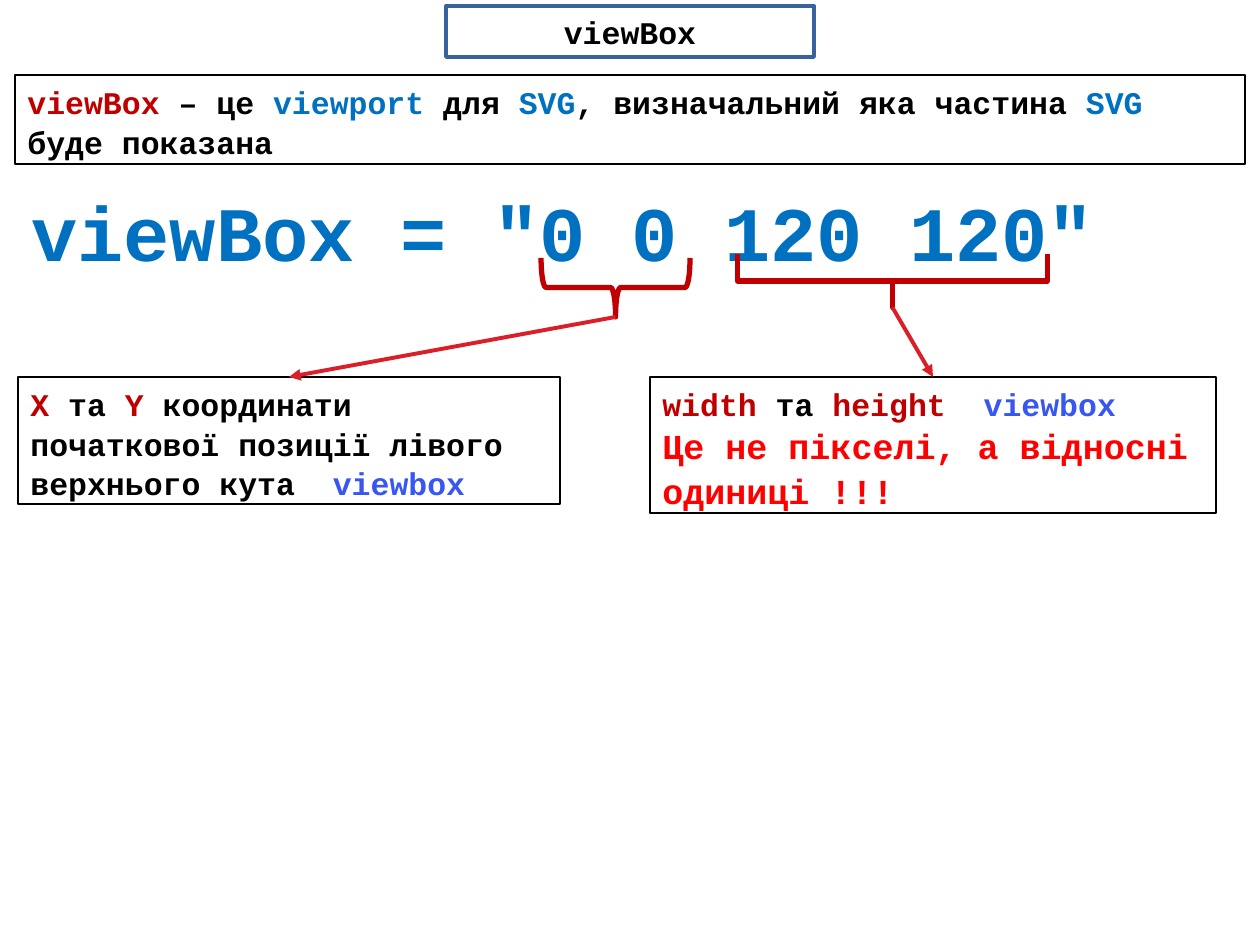
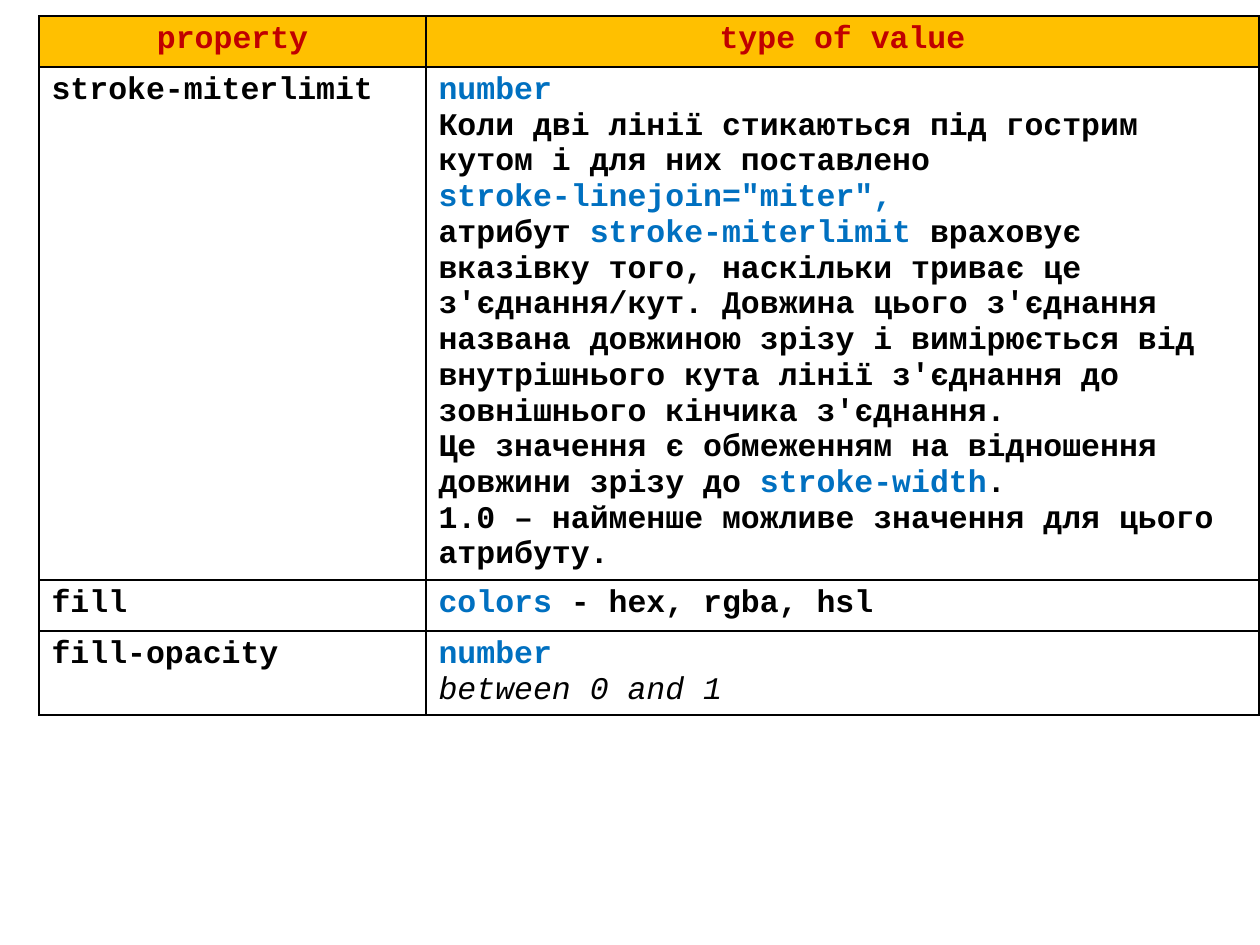
from lxml import etree
from pptx import Presentation
from pptx import util as u
from pptx.dml.color import RGBColor
from pptx.enum import shapes, text
from pptx.oxml.ns import qn

SCALE = 914400 / 126
FONT = "Courier New"
BLACK, WHITE, RED, BLUE = "000000", "FFFFFF", "C00000", "0070C0"
INDIGO, ALERT, ARROW, FRAME, GOLD = "3756F2", "FF0000", "DA1F28", "39639D", "FFC000"


def px(n):
    return u.Emu(round(n * SCALE))


def rgb(value):
    return RGBColor.from_string(value)


def set_line(sp, color, width):
    sp.line.color.rgb = rgb(color)
    sp.line.width = u.Pt(width)


def add_run(p, words, color, size=18, bold=True, italic=False):
    r = p.add_run()
    r.text = words
    f = r.font
    f.name, f.size, f.bold, f.italic = FONT, u.Pt(size), bold, italic
    f.color.rgb = rgb(color)


def write(tf, paragraphs, align=text.PP_ALIGN.LEFT, spacing=None):
    """Fill a frame; each paragraph is a list of add_run argument tuples."""
    for i, runs in enumerate(paragraphs):
        p = tf.paragraphs[0] if i == 0 else tf.add_paragraph()
        p.alignment = align
        if spacing:
            p.line_spacing = spacing
        for run in runs:
            add_run(p, *run)


def add_title(s, words, x, y, w, h):
    sp = s.shapes.title
    sp.left, sp.top, sp.width, sp.height = map(px, (x, y, w, h))
    sp.fill.solid()
    sp.fill.fore_color.rgb = rgb(WHITE)
    set_line(sp, FRAME, 2.25)
    tf = sp.text_frame
    tf.auto_size = text.MSO_AUTO_SIZE.NONE
    tf.vertical_anchor = text.MSO_ANCHOR.MIDDLE
    write(tf, [[(words, BLACK)]], text.PP_ALIGN.CENTER)


def add_text(s, x, y, w, h, paragraphs):
    sp = s.shapes.add_textbox(*map(px, (x, y, w, h)))
    sp.text_frame.word_wrap = True
    write(sp.text_frame, paragraphs)


def add_note(s, x, y, w, h, paragraphs):
    sp = s.shapes.add_shape(shapes.MSO_SHAPE.RECTANGLE, *map(px, (x, y, w, h)))
    sp.shadow.inherit = False
    sp.fill.background()
    set_line(sp, BLACK, 0.75)
    tf = sp.text_frame
    tf.word_wrap = True
    tf.vertical_anchor = text.MSO_ANCHOR.TOP
    write(tf, paragraphs, spacing=1.05)
    return sp


def add_brace(s, x, y, w, h, curve=None):
    """Draw a brace turned to point down and return its tip."""
    sp = s.shapes.add_shape(shapes.MSO_SHAPE.RIGHT_BRACE, *map(px, (x, y, w, h)))
    sp.rotation = 90
    sp.shadow.inherit = False
    sp.fill.background()
    set_line(sp, RED, 3)
    if curve is not None:
        sp.adjustments[0] = curve
    return x + w / 2, y + h / 2 + w / 2


def add_arrow(s, tip, note):
    x, y = map(px, tip)
    c = s.shapes.add_connector(shapes.MSO_CONNECTOR.STRAIGHT, x, y, x, y)
    c.end_connect(note, 0)
    set_line(c, ARROW, 2.25)
    etree.SubElement(c.line._get_or_add_ln(), qn("a:tailEnd"), type="triangle")
    etree.SubElement(c._element.spPr, qn("a:effectLst"))


def set_borders(cell):
    tcPr = cell._tc.get_or_add_tcPr()
    for i, side in enumerate(("lnL", "lnR", "lnT", "lnB")):
        ln = etree.Element(qn("a:" + side), w=str(u.Pt(1)))
        fill = etree.SubElement(ln, qn("a:solidFill"))
        etree.SubElement(fill, qn("a:srgbClr"), val=BLACK)
        tcPr.insert(i, ln)


def add_table(s, x, y, widths, heights, rows):
    """Add a table whose first row is a centred gold header."""
    frame = s.shapes.add_table(len(rows), len(widths),
                               *map(px, (x, y, sum(widths), sum(heights))))
    table = frame.table
    table.first_row = table.horz_banding = False
    for col, w in zip(table.columns, widths):
        col.width = px(w)
    for i, (row, h) in enumerate(zip(rows, heights)):
        table.rows[i].height = px(h)
        for j, paragraphs in enumerate(row):
            cell = table.cell(i, j)
            if i == 0:
                cell.fill.solid()
                cell.fill.fore_color.rgb = rgb(GOLD)
            else:
                cell.fill.background()
            set_borders(cell)
            align = text.PP_ALIGN.LEFT if i else text.PP_ALIGN.CENTER
            write(cell.text_frame, paragraphs, align)


def build_viewbox(prs):
    s = prs.slides.add_slide(prs.slide_layouts[5])
    add_title(s, "viewBox", 446, 6, 368, 51)
    add_note(s, 15, 75, 1230, 89, [[
        ("viewBox", RED), (" – це ", BLACK), ("viewport ", BLUE), ("для ", BLACK),
        ("SVG", BLUE), (", визначальний яка частина ", BLACK), ("SVG ", BLUE),
        ("буде показана", BLACK)]])
    add_text(s, 19, 178, 1230, 106, [[('viewBox = "0 0 120 120"', BLUE, 44)]])
    origin = add_note(s, 18, 377, 542, 127, [[
        ("X ", RED), ("та ", BLACK), ("Y ", RED),
        ("координати початкової позиції лівого верхнього кута ", BLACK),
        (" viewbox", INDIGO)]])
    size = add_note(s, 650, 377, 566, 136, [
        [("width ", RED), ("та ", BLACK), ("height ", RED), (" viewbox", INDIGO)],
        [("Це не пікселі, а відносні одиниці !!!", ALERT, 20)]])
    add_arrow(s, add_brace(s, 586, 213, 59, 149), origin)
    add_arrow(s, add_brace(s, 866, 126, 53, 310, curve=0), size)


def build_properties(prs):
    s = prs.slides.add_slide(prs.slide_layouts[6])
    miterlimit = [
        [("number", BLUE)],
        [("Коли дві лінії стикаються під гострим кутом і для них поставлено", BLACK)],
        [('stroke-linejoin="miter",', BLUE)],
        [("атрибут ", BLACK), ("stroke-miterlimit ", BLUE),
         ("враховує вказівку того, наскільки триває це з'єднання/кут. "
          "Довжина цього з'єднання названа довжиною зрізу і вимірюється від "
          "внутрішнього кута лінії з'єднання до зовнішнього кінчика з'єднання.", BLACK)],
        [("Це значення є обмеженням на відношення довжини зрізу до ", BLACK),
         ("stroke-width", BLUE), (".", BLACK)],
        [("1.0 – найменше можливе значення для цього атрибуту.", BLACK)],
    ]
    opacity = [[("number", BLUE)], [("between 0 and 1", BLACK, 18, False, True)]]
    add_table(s, 39, 16, (387, 833), (51, 513, 51, 84), [
        ([[("property", RED)]], [[("type of value", RED)]]),
        ([[("stroke-miterlimit", BLACK)]], miterlimit),
        ([[("fill", BLACK)]], [[("colors", BLUE), (" - hex, rgba, hsl", BLACK)]]),
        ([[("fill-opacity", BLACK)]], opacity),
    ])


def main():
    prs = Presentation()
    prs.slide_width, prs.slide_height = px(1260), px(945)
    build_viewbox(prs)
    build_properties(prs)
    prs.save("out.pptx")


if __name__ == "__main__":
    main()
